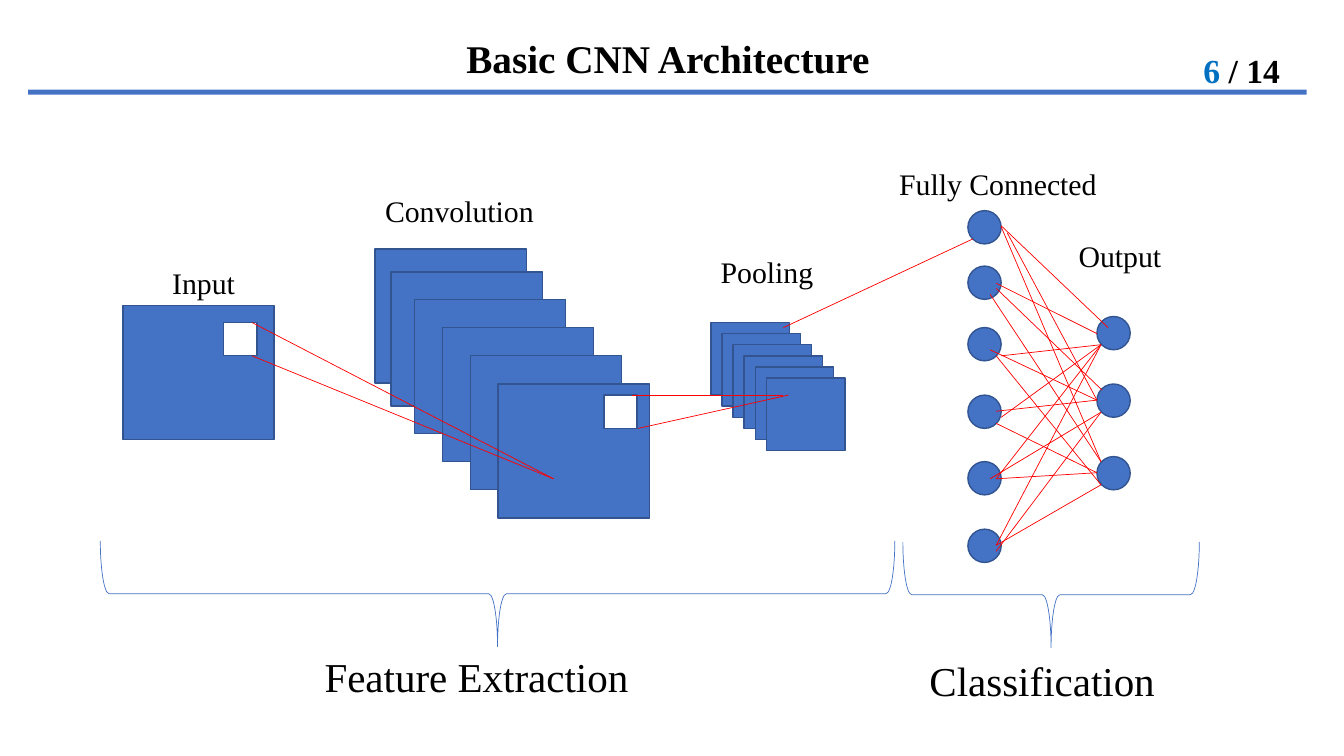
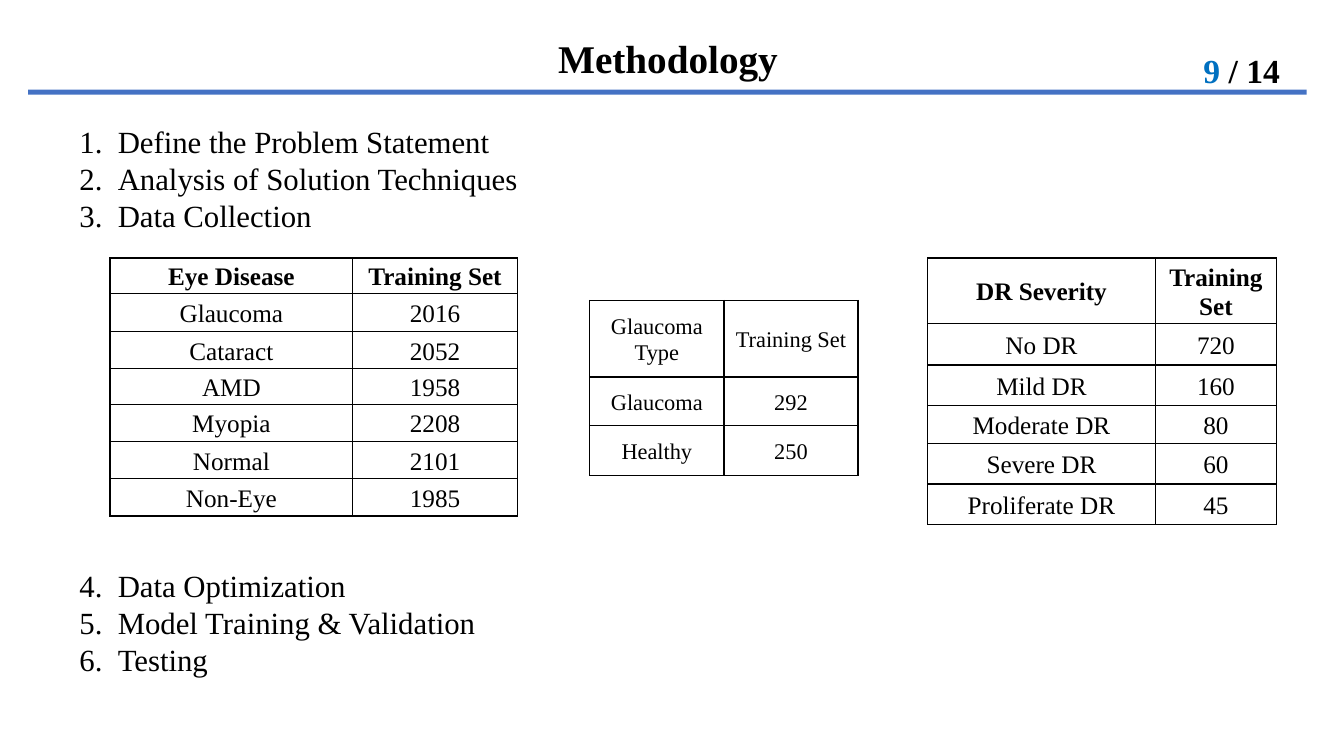
from typing import Any, NamedTuple

from lxml import etree
from pptx import Presentation
from pptx import util as u
from pptx.dml.color import RGBColor
from pptx.enum import shapes, text
from pptx.oxml import ns
from pptx.slide import Slide

BLUE = RGBColor(0x44, 0x72, 0xC4)
EDGE_BLUE = RGBColor(0x32, 0x54, 0x91)
PAGE_BLUE = RGBColor(0x00, 0x70, 0xC0)
RED = RGBColor(0xFF, 0x00, 0x00)
BLACK = RGBColor(0x00, 0x00, 0x00)
WHITE = RGBColor(0xFF, 0xFF, 0xFF)
FONT = "Times New Roman"
PAGE_COUNT = 14

NO_INSETS = dict.fromkeys(
    ("margin_left", "margin_top", "margin_right", "margin_bottom"), 0)
CELL_FORMAT = {
    "margin_left": u.Inches(0.07),
    "margin_top": u.Inches(0.01),
    "margin_right": u.Inches(0.07),
    "margin_bottom": 0,
    "vertical_anchor": text.MSO_ANCHOR.MIDDLE,
}
CELL_PARAGRAPH = {
    "alignment": text.PP_ALIGN.CENTER,
    "line_spacing": 1.07,
    "space_after": u.Pt(8),
}

RECT = shapes.MSO_SHAPE.RECTANGLE
OVAL = shapes.MSO_SHAPE.OVAL
BRACE = shapes.MSO_SHAPE.LEFT_BRACE


class Box(NamedTuple):
    left: float
    top: float
    width: float
    height: float

    def lengths(self) -> list[u.Length]:
        return [u.Inches(value) for value in self]


class Ray(NamedTuple):
    x1: float
    y1: float
    x2: float
    y2: float


class Label(NamedTuple):
    words: str
    box: Box
    size: float


class DataTable(NamedTuple):
    box: Box
    widths: list[float]
    heights: list[float]
    size: float
    bold_header: bool
    rows: list[tuple[str, str]]


INPUT_MAP = Box(1.22, 3.03, 1.5, 1.33)
CONVOLUTION_CORNERS = [(3.72, 2.47), (3.88, 2.7)] + [
    (4.11 + 0.277 * i, 2.97 + 0.28 * i) for i in range(4)]
POOLING_CORNERS = [(7.05 + 0.11 * i, 3.2 + 0.11 * i) for i in range(6)]
NODE = 0.33
HIDDEN_X, OUTPUT_X = 9.6, 10.88
HIDDEN_TOPS = [2.09, 2.64, 3.25, 3.92, 4.58, 5.25]
OUTPUT_TOPS = [3.14, 3.81, 4.53]
WINDOWS = [Box(2.22, 3.2, NODE, NODE), Box(5.99, 3.92, NODE, NODE)]
BRACES = [Box(4.41, 1.95, 1.05, 7.88), Box(9.9, 4.43, 1.05, 2.94)]

MAP_RAYS = [
    Ray(2.5, 3.2, 5.49, 4.75),
    Ray(2.5, 3.53, 5.49, 4.75),
    Ray(6.27, 3.92, 7.77, 3.92),
    Ray(6.33, 4.25, 7.82, 3.92),
    Ray(7.77, 3.25, 9.65, 2.37),
]
NODE_RAYS = [
    Ray(9.93, 2.24, 10.99, 3.25),
    Ray(9.99, 2.31, 10.88, 3.97),
    Ray(9.93, 2.25, 10.92, 4.58),
    Ray(9.88, 2.81, 10.88, 3.31),
    Ray(9.88, 2.86, 10.93, 3.87),
    Ray(9.82, 2.92, 10.92, 4.58),
    Ray(9.93, 3.53, 10.92, 3.42),
    Ray(9.82, 3.47, 10.88, 3.97),
    Ray(9.88, 3.53, 10.92, 4.81),
    Ray(9.93, 4.14, 10.92, 3.42),
    Ray(9.88, 4.08, 10.88, 3.97),
    Ray(9.88, 4.2, 10.88, 4.69),
    Ray(9.88, 4.75, 10.92, 3.42),
    Ray(9.82, 4.75, 10.92, 4.09),
    Ray(9.88, 4.75, 10.88, 4.69),
    Ray(9.88, 5.41, 10.92, 3.42),
    Ray(9.88, 5.47, 10.92, 4.09),
    Ray(9.88, 5.41, 10.92, 4.81),
]
LABELS = [
    Label("Feature Extraction", Box(3.12, 6.41, 3.25, 0.59), 29.3),
    Label("Classification", Box(9.12, 6.45, 2.46, 0.59), 29.3),
    Label("Input", Box(1.61, 2.58, 0.83, 0.46), 21.3),
    Label("Convolution", Box(3.72, 1.86, 1.69, 0.46), 21.3),
    Label("Pooling", Box(7.05, 2.47, 1.13, 0.46), 21.3),
    Label("Fully Connected", Box(8.82, 1.59, 2.18, 0.46), 21.3),
    Label("Output", Box(10.6, 2.31, 1.03, 0.46), 21.3),
]

STEPS = [
    "Define the Problem Statement",
    "Analysis of Solution Techniques",
    "Data Collection",
    "Data Optimization",
    "Model Training & Validation",
    "Testing",
]
STEP_AFTER_TABLES = "Data Optimization"
STEP_PITCH = 26.4
TABLES = [
    DataTable(Box(9.2, 2.56, 3.46, 2.62), [2.26, 1.2],
              [0.59, 0.41, 0.4, 0.38, 0.4, 0.4], 18, True,
              [("DR Severity", "Training Set"), ("No DR", "720"),
               ("Mild DR", "160"), ("Moderate DR", "80"),
               ("Severe DR", "60"), ("Proliferate DR", "45")]),
    DataTable(Box(1.09, 2.56, 4.05, 2.57), [2.41, 1.63],
              [0.35, 0.38, 0.37, 0.35, 0.37, 0.37, 0.37], 18, True,
              [("Eye Disease", "Training Set"), ("Glaucoma", "2016"),
               ("Cataract", "2052"), ("AMD", "1958"), ("Myopia", "2208"),
               ("Normal", "2101"), ("Non-Eye", "1985")]),
    DataTable(Box(5.85, 2.98, 2.67, 1.73), [1.33, 1.33],
              [0.76, 0.48, 0.5], 16, False,
              [("Glaucoma Type", "Training Set"), ("Glaucoma", "292"),
               ("Healthy", "250")]),
]


def apply_format(target: Any, values: dict[str, Any]) -> None:
    for attribute, value in values.items():
        setattr(target, attribute, value)


def add_run(paragraph: Any, words: str, size: float, bold: bool = False,
            color: RGBColor = BLACK) -> None:
    run = paragraph.add_run()
    run.text = words
    apply_format(run.font, {"name": FONT, "size": u.Pt(size), "bold": bold})
    run.font.color.rgb = color


def add_frame(slide: Slide, box: Box, wrap: bool = True) -> Any:
    frame = slide.shapes.add_textbox(*box.lengths()).text_frame
    frame.word_wrap = wrap
    return frame


def add_figure(slide: Slide, kind: Any, box: Box, fill: RGBColor | None = BLUE,
               line: RGBColor | None = EDGE_BLUE, weight: float = 1) -> Any:
    figure = slide.shapes.add_shape(kind, *box.lengths())
    figure.shadow.inherit = False
    if fill is None:
        figure.fill.background()
    else:
        figure.fill.solid()
        figure.fill.fore_color.rgb = fill
    if line is None:
        figure.line.fill.background()
    else:
        figure.line.color.rgb = line
        figure.line.width = u.Pt(weight)
    return figure


def add_ray(slide: Slide, ray: Ray) -> None:
    connector = slide.shapes.add_connector(
        shapes.MSO_CONNECTOR.STRAIGHT, *(u.Inches(value) for value in ray))
    connector.line.color.rgb = RED
    connector.line.width = u.Pt(0.5)
    etree.SubElement(connector._element.spPr, ns.qn("a:effectLst"))


def add_header(slide: Slide, title: str, page: int) -> None:
    """Page number, rule and centred title."""
    number = add_frame(slide, Box(11.66, 0.22, 1.31, 0.59))
    heading = add_frame(slide, Box(4.36, 0.34, 4.53, 0.47))
    for frame in (number, heading):
        apply_format(frame, NO_INSETS)
        frame.paragraphs[0].alignment = text.PP_ALIGN.CENTER
    number.paragraphs[0].line_spacing = u.Pt(48.5)
    add_run(number.paragraphs[0], str(page), 24, True, PAGE_BLUE)
    add_run(number.paragraphs[0], f" / {PAGE_COUNT}", 24, True)
    add_run(heading.paragraphs[0], title, 28, True)
    add_figure(slide, RECT, Box(0.28, 0.89, 12.68, 0.05), line=None)


def add_borders(cell: Any) -> None:
    properties = cell._tc.get_or_add_tcPr()
    for position, side in enumerate(("a:lnL", "a:lnR", "a:lnT", "a:lnB")):
        border = etree.Element(ns.qn(side), w=str(u.Pt(1)))
        fill = etree.SubElement(border, ns.qn("a:solidFill"))
        etree.SubElement(fill, ns.qn("a:srgbClr"), val=str(BLACK))
        properties.insert(position, border)


def add_data_table(slide: Slide, data: DataTable) -> None:
    table = slide.shapes.add_table(
        len(data.rows), len(data.widths), *data.box.lengths()).table
    apply_format(table, {"first_row": False, "horz_banding": False})
    for column, width in zip(table.columns, data.widths):
        column.width = u.Inches(width)
    for index, (row, height) in enumerate(zip(table.rows, data.heights)):
        row.height = u.Inches(height)
        for cell, words in zip(row.cells, data.rows[index]):
            apply_format(cell, CELL_FORMAT)
            cell.fill.background()
            add_borders(cell)
            paragraph = cell.text_frame.paragraphs[0]
            apply_format(paragraph, CELL_PARAGRAPH)
            add_run(paragraph, words, data.size,
                    data.bold_header and index == 0)


def add_steps(slide: Slide) -> None:
    """Numbered list with room for the tables in its middle."""
    frame = add_frame(slide, Box(0.69, 1.17, 11.97, 5.65))
    for index, step in enumerate(STEPS):
        paragraph = frame.add_paragraph() if index else frame.paragraphs[0]
        paragraph.line_spacing = u.Pt(STEP_PITCH)
        if step == STEP_AFTER_TABLES:
            paragraph.space_before = u.Pt(9 * STEP_PITCH)
        properties = paragraph._p.get_or_add_pPr()
        indent = u.Inches(0.38)
        properties.set("marL", str(indent))
        properties.set("indent", str(-indent))
        etree.SubElement(properties, ns.qn("a:buFont"), typeface=FONT)
        etree.SubElement(properties, ns.qn("a:buAutoNum"), type="arabicPeriod")
        add_run(paragraph, step, 22)


def build_architecture(slide: Slide) -> None:
    add_figure(slide, RECT, INPUT_MAP)
    for corner in CONVOLUTION_CORNERS:
        add_figure(slide, RECT, Box(*corner, 1.5, 1.33))
    for corner in POOLING_CORNERS:
        add_figure(slide, RECT, Box(*corner, 0.78, 0.72))
    for x, tops in ((HIDDEN_X, HIDDEN_TOPS), (OUTPUT_X, OUTPUT_TOPS)):
        for top in tops:
            add_figure(slide, OVAL, Box(x, top, NODE, NODE))
    for box in BRACES:
        add_figure(slide, BRACE, box, None, BLUE, 0.5).rotation = 270
    for box in WINDOWS:
        add_figure(slide, RECT, box, WHITE)
    for ray in MAP_RAYS + NODE_RAYS:
        add_ray(slide, ray)
    for label in LABELS:
        frame = add_frame(slide, label.box, wrap=False)
        add_run(frame.paragraphs[0], label.words, label.size)
    add_header(slide, "Basic CNN Architecture", 6)


def build_methodology(slide: Slide) -> None:
    add_header(slide, "Methodology", 9)
    add_steps(slide)
    for data in TABLES:
        add_data_table(slide, data)


def main() -> None:
    deck = Presentation()
    deck.slide_width, deck.slide_height = u.Inches(13.33), u.Inches(7.5)
    blank = deck.slide_layouts[6]
    for build in (build_architecture, build_methodology):
        build(deck.slides.add_slide(blank))
    deck.save("out.pptx")


if __name__ == "__main__":
    main()
